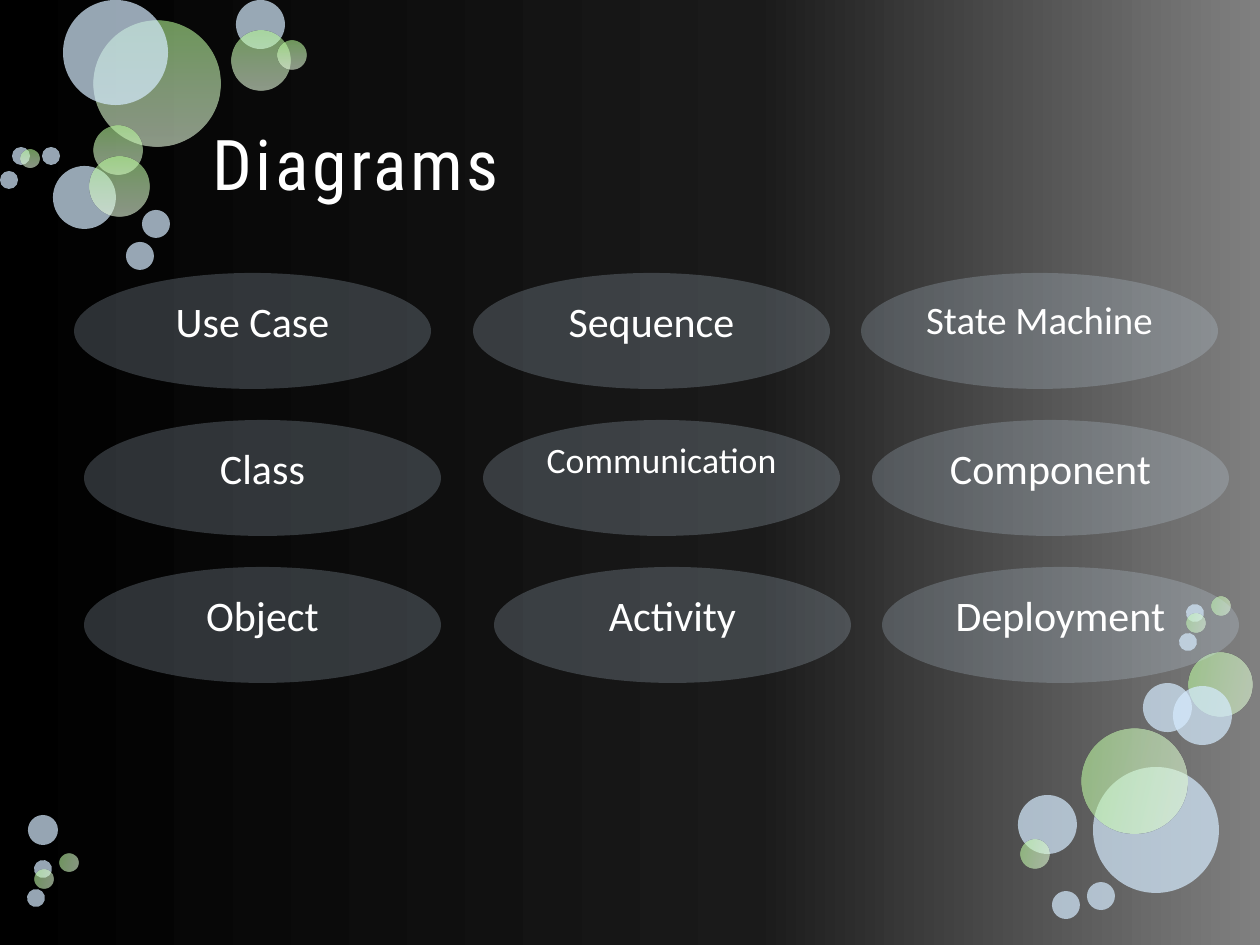
from lxml import etree
from pptx import Presentation
from pptx.dml.color import RGBColor
from pptx.enum.shapes import MSO_SHAPE
from pptx.enum.text import MSO_ANCHOR, PP_ALIGN
from pptx.oxml.ns import qn
from pptx.util import Emu, Pt

OVAL = MSO_SHAPE.OVAL
TOP, MIDDLE = MSO_ANCHOR.TOP, MSO_ANCHOR.MIDDLE
LEFT, CENTER = PP_ALIGN.LEFT, PP_ALIGN.CENTER
PX = 914400 / 126
COLORS = {
    "black": "000000", "charcoal": "1A1A1A", "gray": "808080",
    "green": "B2F592", "pale": "CEF7BD", "mist": "E7FADF",
    "blue": "D6ECFF", "white": "FFFFFF",
}
BACKDROP = [(0, "black"), (60, "charcoal"), (100, "gray")]
LEAF = [(0, "green"), (50, "pale"), (100, "mist")]


def paint(fill, element, stops, opacity=100, angle=0):
    if len(stops) == 1:
        fill.solid()
        fill.fore_color.rgb = RGBColor.from_string(COLORS[stops[0][1]])
        tints = [element.find(".//" + qn("a:srgbClr"))]
    else:
        fill.gradient()
        fill.gradient_angle = angle
        stop_list = element.find(".//" + qn("a:gsLst"))
        for old_stop in list(stop_list):
            stop_list.remove(old_stop)
        tints = []
        for position, name in stops:
            stop = etree.SubElement(stop_list, qn("a:gs"), pos=str(position * 1000))
            tints.append(etree.SubElement(stop, qn("a:srgbClr"), val=COLORS[name]))
    if opacity < 100:
        for tint in tints:
            etree.SubElement(tint, qn("a:alpha"), val=str(opacity * 1000))


def write(box, text, size, font, anchor, align=LEFT, margin=None, before=0,
          line=None, indent=0, spacing=0):
    frame = box.text_frame
    frame.word_wrap = True
    frame.vertical_anchor = anchor
    if margin is not None:
        frame.margin_left = frame.margin_right = Emu(round(margin * PX))
        frame.margin_top = frame.margin_bottom = Emu(round(margin * PX))
    para = frame.paragraphs[0]
    para.alignment = align
    para.space_before = Pt(before)
    para.line_spacing = line
    if indent:
        hang = round(indent * PX)
        properties = para._p.get_or_add_pPr()
        properties.set("marL", str(hang))
        properties.set("indent", str(-hang))
    span = para.add_run()
    span.text = text
    span.font.size = Pt(size)
    span.font.name = font
    span.font.color.rgb = RGBColor.from_string(COLORS["white"])
    if spacing:
        span._r.get_or_add_rPr().set("spc", str(spacing * 100))


deck = Presentation()
deck.slide_width = Emu(round(1260 * PX))
deck.slide_height = Emu(round(945 * PX))
page = deck.slides.add_slide(deck.slide_layouts[6])
paint(page.background.fill, page._element, BACKDROP)

upright_bubbles = [
    ("leaf", 94, 21, 126), ("sky", 53, 166, 63), ("leaf", 94, 126, 49),
    ("leaf", 90, 157, 59), ("sky", 63, 0, 105), ("sky", 236, 0, 49),
    ("leaf", 231, 31, 59), ("leaf", 278, 41, 28), ("sky", 142, 210, 28),
    ("sky", 12, 147, 18), ("sky", 126, 242, 28), ("sky", 0, 171, 18),
    ("leaf", 21, 150, 18), ("sky", 42, 147, 18),
]
turned_bubbles = [
    ("sky", 1093, 767, 126), ("leaf", 1189, 653, 63), ("sky", 1143, 683, 49),
    ("sky", 1173, 686, 59), ("leaf", 1082, 729, 105), ("sky", 28, 815, 30),
    ("sky", 1018, 795, 59), ("leaf", 1021, 840, 28), ("sky", 1052, 891, 28),
    ("sky", 1186, 604, 18), ("sky", 1087, 882, 28), ("leaf", 1212, 597, 18),
    ("leaf", 1187, 614, 18), ("sky", 1179, 633, 18), ("sky", 34, 860, 18),
    ("leaf", 60, 854, 18), ("leaf", 35, 870, 18), ("sky", 27, 889, 18),
]
for bubbles, turned in [(upright_bubbles, False), (turned_bubbles, True)]:
    for kind, left, top, size in bubbles:
        bubble = page.shapes.add_shape(
            OVAL, *[Emu(round(length * PX)) for length in (left, top, size, size)])
        bubble.shadow.inherit = False
        bubble.line.fill.background()
        if kind == "leaf":
            paint(bubble.fill, bubble._element.spPr, LEAF, 60, 270)
        else:
            paint(bubble.fill, bubble._element.spPr, [(0, "blue")], 70)
        if turned:
            bubble.rotation = 103.3
            bubble._element.spPr.find(qn("a:xfrm")).set("flipV", "1")

title = page.shapes.add_textbox(*[Emu(round(length * PX)) for length in (200, 84, 914, 158)])
write(title, "Diagrams", 40, "Roboto Condensed", MIDDLE, spacing=2)

diagram_rows = [
    [("Use Case", 74, 24), ("Sequence", 473, 24), ("State Machine", 861, 22.2)],
    [("Class", 84, 24), ("Communication", 483, 20.4), ("Component", 872, 24)],
    [("Object", 84, 24), ("Activity", 494, 24), ("Deployment", 882, 24)],
]
for row, diagrams in enumerate(diagram_rows):
    for name, left, size in diagrams:
        oval = page.shapes.add_shape(
            OVAL, *[Emu(round(length * PX)) for length in (left, 273 + 147 * row, 357, 116)])
        oval.shadow.inherit = False
        oval.line.fill.background()
        paint(oval.fill, oval._element.spPr, [(0, "blue")], 20)
        write(oval, name, size, "Calibri", TOP, align=CENTER, margin=6, before=18,
              line=0.9 if name == "Communication" else None, indent=32)

deck.save("out.pptx")
